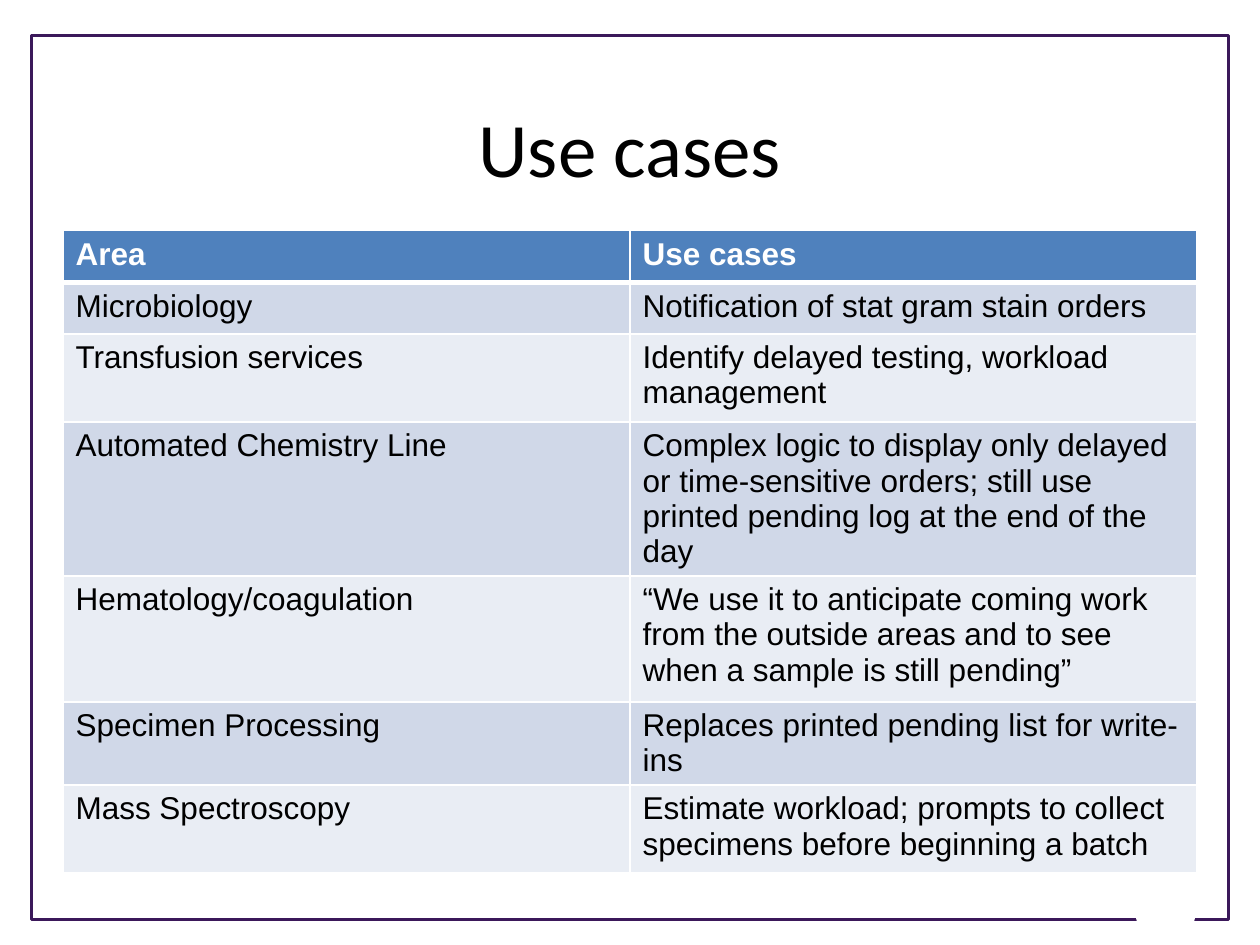
import pptx
import pptx.util
import pptx.dml.color
import pptx.enum.shapes
import pptx.enum.text
import pptx.oxml
import pptx.oxml.ns
from dataclasses import dataclass

Inches = pptx.util.Inches
Pt = pptx.util.Pt
RGB = pptx.dml.color.RGBColor.from_string
SHAPE = pptx.enum.shapes.MSO_SHAPE


@dataclass(frozen=True)
class Theme:
    frame: str = "3B185A"
    white: str = "FFFFFF"
    black: str = "000000"
    header: str = "4F81BD"
    bands: tuple = ("D0D8E8", "E9EDF4")
    title_font: str = "Calibri"
    body_font: str = "Arial"
    title_size: int = 44
    body_size: int = 18


theme = Theme()


def add_run(p, text, font, size, color, bold=False):
    r = p.add_run()
    r.text = text
    r.font.name = font
    r.font.size = Pt(size)
    r.font.color.rgb = RGB(color)
    r.font.bold = bold


def add_border(cell, side, width):
    cell._tc.get_or_add_tcPr().append(pptx.oxml.parse_xml(
        f'<a:ln{side} {pptx.oxml.ns.nsdecls("a")} w="{Pt(width)}"><a:solidFill>'
        f'<a:srgbClr val="{theme.white}"/></a:solidFill></a:ln{side}>'))


prs = pptx.Presentation()
prs.slide_width, prs.slide_height = Inches(10), Inches(7.5)
s = prs.slides.add_slide(prs.slide_layouts[5])

frame = s.shapes.add_shape(SHAPE.RECTANGLE, Inches(0.25), Inches(0.28), Inches(9.5), Inches(7.02))
frame.shadow.inherit = False
frame.fill.background()
frame.line.color.rgb = RGB(theme.frame)
frame.line.width = Pt(1.75)

notch = s.shapes.add_shape(SHAPE.TRAPEZOID, Inches(8.93), Inches(6.94), Inches(0.64), Inches(0.43))
notch.rotation = 180
notch.shadow.inherit = False
notch.fill.solid()
notch.fill.fore_color.rgb = RGB(theme.white)
notch.line.fill.background()

title = s.shapes.title
title.left, title.top, title.width, title.height = Inches(0.5), Inches(0.58), Inches(9), Inches(1.17)
tf = title.text_frame
tf.vertical_anchor = pptx.enum.text.MSO_ANCHOR.MIDDLE
p = tf.paragraphs[0]
p.alignment = pptx.enum.text.PP_ALIGN.CENTER
add_run(p, "Use cases", theme.title_font, theme.title_size, theme.black)

rows = [
    (0.41, "Area", "Use cases"),
    (0.41, "Microbiology", "Notification of stat gram stain orders"),
    (0.7, "Transfusion services", "Identify delayed testing, workload management"),
    (1, "Automated Chemistry Line",
     "Complex logic to display only delayed or time-sensitive orders; "
     "still use printed pending log at the end of the day"),
    (1, "Hematology/coagulation",
     "“We use it to anticipate coming work from the outside areas "
     "and to see when a sample is still pending”"),
    (0.41, "Specimen Processing", "Replaces printed pending list for write-ins"),
    (0.7, "Mass Spectroscopy",
     "Estimate workload; prompts to collect specimens before beginning a batch"),
]
height = sum(row[0] for row in rows)
table = s.shapes.add_table(len(rows), 2, Inches(0.5), Inches(1.83), Inches(9), Inches(height)).table

for i, (row_height, *texts) in enumerate(rows):
    table.rows[i].height = Inches(row_height)
    is_header = i == 0
    for j, text in enumerate(texts):
        cell = table.cell(i, j)
        for side in "LRTB":
            under_header = (i, side) in ((0, "B"), (1, "T"))
            add_border(cell, side, 3 if under_header else 1)
        cell.fill.solid()
        cell.fill.fore_color.rgb = RGB(theme.header if is_header else theme.bands[(i - 1) % 2])
        add_run(cell.text_frame.paragraphs[0], text, theme.body_font, theme.body_size,
                theme.white if is_header else theme.black, is_header)

prs.save("out.pptx")
